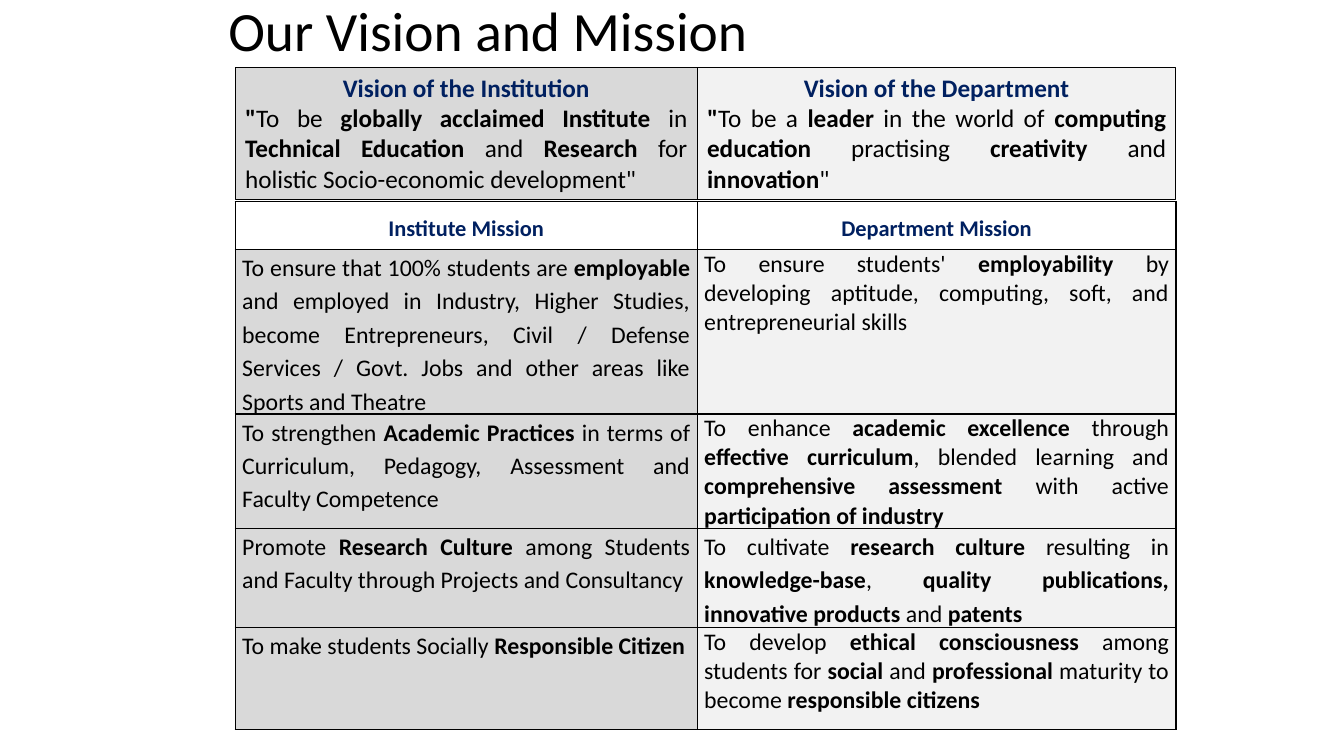
from dataclasses import dataclass

from lxml import etree
from pptx import Presentation
from pptx import util as u
from pptx.dml.color import RGBColor
from pptx.enum import shapes, text
from pptx.oxml import ns

LEFT, MID, JUST = text.PP_ALIGN.LEFT, text.PP_ALIGN.CENTER, text.PP_ALIGN.JUSTIFY


@dataclass(frozen=True)
class Theme:
    face: str = "Calibri"
    ink: str = "000000"
    navy: str = "002060"
    grey: str = "D9D9D9"
    pale: str = "F2F2F2"
    title: float = 39.6
    large: float = 18
    body: float = 17
    head: float = 16
    thin: float = 0.75
    rule: float = 1


class Page:
    """A slide on a grid of 160 columns by 90 rows."""

    def __init__(self, deck, theme):
        self.theme = theme
        self.slide = deck.slides.add_slide(deck.slide_layouts[6])
        self.col = deck.slide_width / 160
        self.row = deck.slide_height / 90

    def place(self, x, y, w, h):
        return (round(x * self.col), round(y * self.row),
                round(w * self.col), round(h * self.row))

    def prose(self, para, words, size, color, align, lead=None, after=None):
        """Fill a paragraph; words between ** marks are bold."""
        para.alignment = align
        if lead:
            para.line_spacing = lead
        if after:
            para.space_after = u.Pt(after)
        font = para.font
        font.name, font.size = self.theme.face, u.Pt(size)
        font.color.rgb = RGBColor.from_string(color)
        for i, part in enumerate(words.split("**")):
            if part:
                run = para.add_run()
                run.text = part
                run.font.bold = i % 2 == 1

    def title(self, words, *area):
        frame = self.slide.shapes.add_textbox(*self.place(*area)).text_frame
        frame.word_wrap = True
        frame.vertical_anchor = text.MSO_ANCHOR.MIDDLE
        self.prose(frame.paragraphs[0], words, self.theme.title,
                   self.theme.ink, LEFT, 0.9)

    def panel(self, head, words, fill, *area):
        t = self.theme
        box = self.slide.shapes.add_shape(
            shapes.MSO_SHAPE.RECTANGLE, *self.place(*area))
        box.shadow.inherit = False
        box.fill.solid()
        box.fill.fore_color.rgb = RGBColor.from_string(fill)
        box.line.color.rgb = RGBColor.from_string(t.ink)
        box.line.width = u.Pt(t.thin)
        frame = box.text_frame
        frame.word_wrap = True
        frame.vertical_anchor = text.MSO_ANCHOR.TOP
        self.prose(frame.paragraphs[0], f"**{head}**", t.large, t.navy, MID)
        self.prose(frame.add_paragraph(), words, t.large, t.ink, JUST)

    def edge(self, cell):
        props = cell._tc.get_or_add_tcPr()
        for side in ("lnL", "lnR", "lnT", "lnB"):
            line = etree.SubElement(props, ns.qn(f"a:{side}"),
                                    w=str(u.Pt(self.theme.rule)))
            fill = etree.SubElement(line, ns.qn("a:solidFill"))
            etree.SubElement(fill, ns.qn("a:srgbClr"), val=self.theme.ink)

    def table(self, heads, rows, x, y, widths, heights):
        t = self.theme
        area = self.place(x, y, sum(widths), sum(heights))
        grid = self.slide.shapes.add_table(
            len(heights), len(widths), *area).table
        grid.first_row = grid.horz_banding = False
        for column, w in zip(grid.columns, widths):
            column.width = round(w * self.col)
        for line, h in zip(grid.rows, heights):
            line.height = round(h * self.row)
        for cell in grid.iter_cells():
            cell.margin_left = cell.margin_right = u.Inches(0.07)
            cell.margin_top = cell.margin_bottom = 0
            self.edge(cell)
        # Heading row
        for c, head in enumerate(heads):
            cell = grid.cell(0, c)
            cell.fill.background()
            self.prose(cell.text_frame.paragraphs[0], f"**{head}**",
                       t.head, t.navy, MID, 1.5)
        # Mission rows
        for r, line in enumerate(rows, 1):
            for c, (words, loose) in enumerate(line):
                cell = grid.cell(r, c)
                cell.fill.solid()
                cell.fill.fore_color.rgb = RGBColor.from_string(
                    (t.grey, t.pale)[c])
                gaps = (1.15, 10) if loose else ()
                self.prose(cell.text_frame.paragraphs[0], words,
                           t.body, t.ink, JUST, *gaps)


# Each mission cell: words, and whether its lines are set loosely
MISSIONS = [
    [("To ensure that 100% students are **employable** and employed in "
      "Industry, Higher Studies, become Entrepreneurs, Civil / Defense "
      "Services / Govt. Jobs and other areas like Sports and Theatre", True),
     ("To ensure students' **employability **by developing aptitude, "
      "computing, soft, and entrepreneurial skills", False)],
    [("To strengthen **Academic Practices **in terms of Curriculum, "
      "Pedagogy, Assessment and Faculty Competence", True),
     ("To enhance **academic excellence** through **effective curriculum**, "
      "blended learning and **comprehensive assessment **with active "
      "**participation of industry**", False)],
    [("Promote **Research Culture **among Students and Faculty through "
      "Projects and Consultancy", True),
     ("To cultivate **research culture **resulting in **knowledge-base**, "
      "**quality publications, innovative products** and **patents**", True)],
    [("To make students Socially **Responsible Citizen**", True),
     ("To develop **ethical consciousness **among students for **social** "
      "and **professional** maturity to become **responsible citizens**",
      False)],
]


def main():
    deck = Presentation()
    deck.slide_width, deck.slide_height = u.Inches(13.33), u.Inches(7.5)
    theme = Theme()
    page = Page(deck, theme)
    left, widths = 28, (55, 57)

    page.title("Our Vision and Mission", 26, 0, 108, 8)

    # Visions
    page.panel("Vision of the Institution",
               '**"**To be **globally acclaimed Institute** in **Technical '
               'Education **and **Research** for holistic Socio-economic '
               'development"',
               theme.grey, left, 8, widths[0], 15.7)
    page.panel("Vision of the Department",
               '**"**To be a **leader** in the world of **computing education '
               '**practising **creativity **and **innovation**"',
               theme.pale, left + widths[0], 8, widths[1], 15.7)

    # Missions
    page.table(("Institute Mission", "Department Mission"), MISSIONS,
               left, 24, widths, (5.7, 19.6, 13.5, 11.8, 12.1))

    deck.save("out.pptx")


if __name__ == "__main__":
    main()
